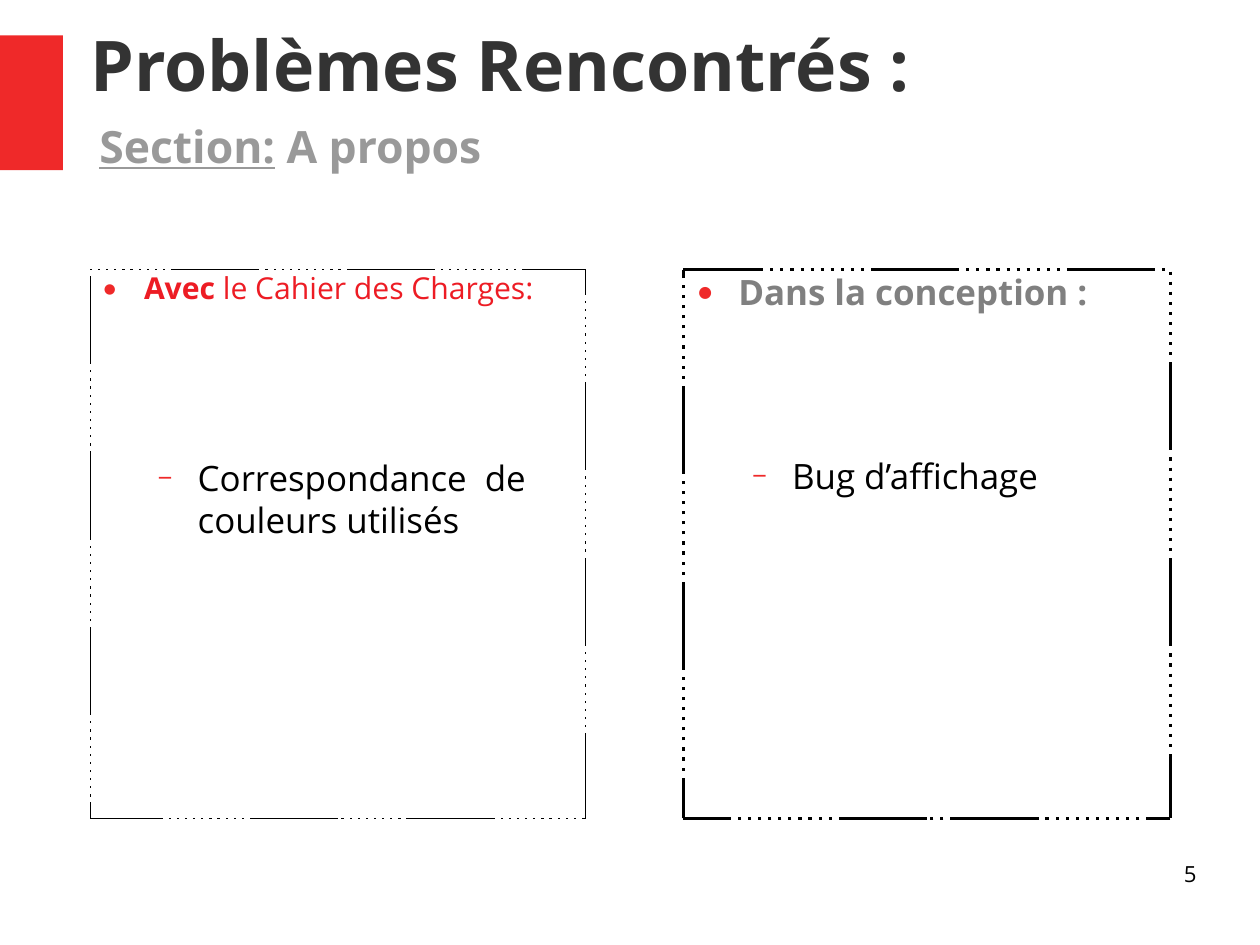
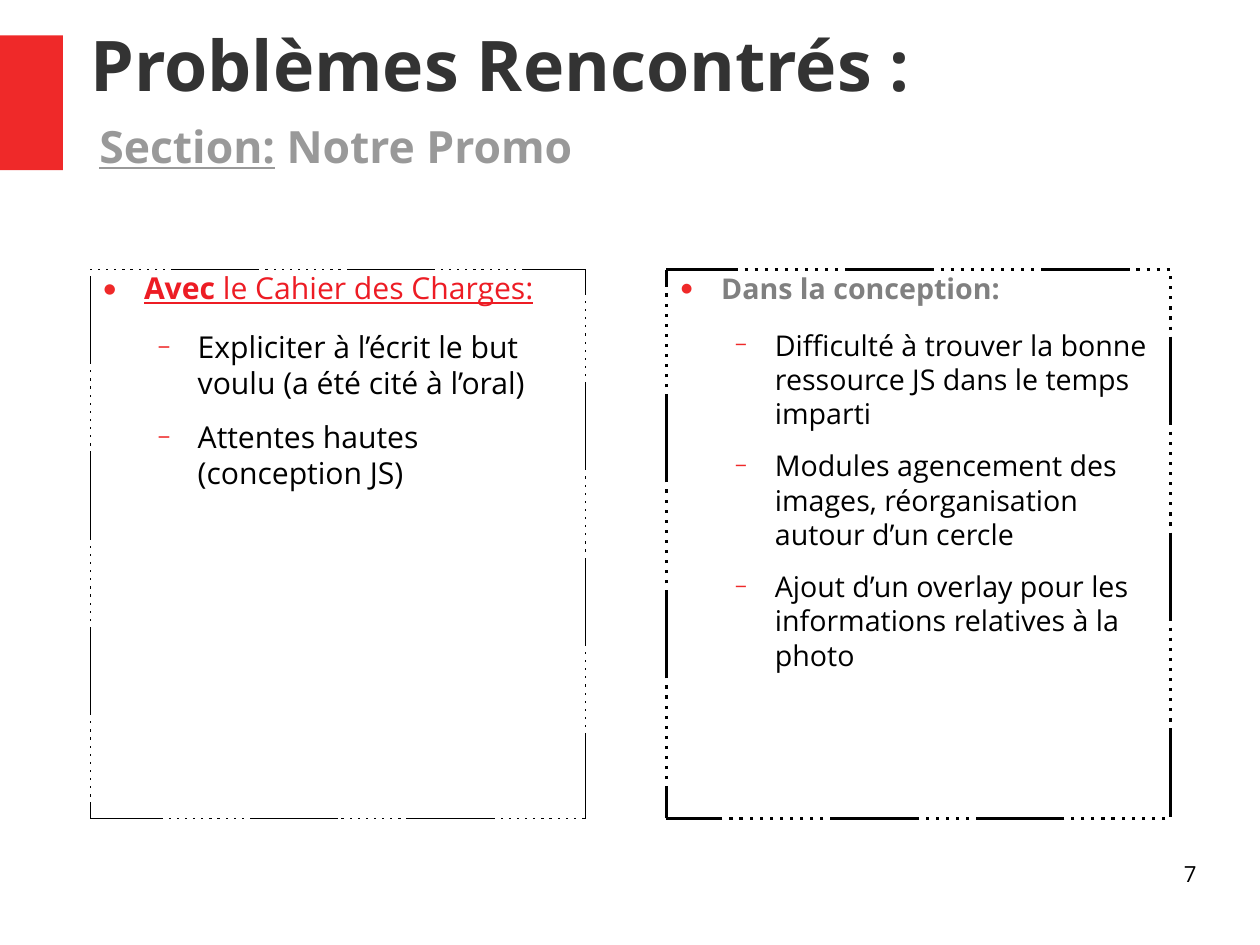
from dataclasses import dataclass

import pptx
import pptx.dml.line
import pptx.enum.shapes
import pptx.enum.text
import pptx.oxml
import pptx.oxml.ns
import pptx.presentation
import pptx.slide
import pptx.text.text
import pptx.util
from pptx.dml.color import RGBColor
from pptx.util import Inches

FONT = "Open Sans"
BAND_RED = RGBColor(0xEF, 0x29, 0x29)
HEADING_RED = RGBColor(0xED, 0x1C, 0x24)
TITLE_GRAY = RGBColor(0x33, 0x33, 0x33)
SECTION_GRAY = RGBColor(0x99, 0x99, 0x99)
HEADING_GRAY = RGBColor(0x80, 0x80, 0x80)
BLACK = RGBColor(0x00, 0x00, 0x00)

ANCHOR = pptx.enum.text.MSO_ANCHOR
ALIGN = pptx.enum.text.PP_ALIGN
CM_PER_INCH = 2.54
PAGE_WIDTH, PAGE_HEIGHT = Inches(28 / CM_PER_INCH), Inches(21 / CM_PER_INCH)
PANEL_TOP, PANEL_HEIGHT, PANEL_RIGHT = 2.36, 4.8, 10.24
DOT_COUNT = 10


@dataclass(frozen=True)
class Border:
    width: float
    dash: int
    gap: int


@dataclass(frozen=True)
class Bullet:
    symbol: str
    percent: int
    indent: float
    level: int
    space_after: float


@dataclass(frozen=True)
class Panel:
    left: float
    width: float
    border: Border
    inset: float
    bold_heading: str
    plain_heading: str
    heading_color: RGBColor
    heading_size: float
    items: tuple[str, ...]
    item_size: float
    underlined: bool = False
    gap_before_items: float = 0


@dataclass(frozen=True)
class Page:
    section: str
    number: str
    panels: tuple[Panel, ...]


HAIRLINE = Border(0, 7200, 570)
THICK = Border(1.98, 2800, 220)
HEADING_BULLET = Bullet("●", 45, 0.47, 0, 14.1)
ITEM_BULLET = Bullet("−", 75, 0.94, 1, 11.3)


def requirements_panel(items: tuple[str, ...], item_size: float, **options) -> Panel:
    return Panel(0.79, 4.33, HAIRLINE, 0, "Avec", " le Cahier des Charges:",
                 HEADING_RED, 19, items, item_size, **options)


def design_panel(left: float, heading: str, items: tuple[str, ...], size: float,
                 **options) -> Panel:
    return Panel(left, PANEL_RIGHT - left, THICK, 0.01, heading, "",
                 HEADING_GRAY, size, items, size, **options)


PAGES = (
    Page("A propos", "5", (
        requirements_panel(("Correspondance  de couleurs utilisés",), 22, gap_before_items=81),
        design_panel(5.98, "Dans la conception :", ("Bug d’affichage",), 22,
                     gap_before_items=75.4),
    )),
    Page("Notre Promo", "7", (
        requirements_panel((
            "Expliciter à l’écrit le but voulu (a été cité à l’oral)",
            "Attentes hautes (conception JS)",
        ), 19, underlined=True),
        design_panel(5.83, "Dans la conception:", (
            "Difficulté à trouver la bonne ressource JS dans le temps imparti",
            "Modules agencement des images, réorganisation autour d’un cercle",
            "Ajout d’un overlay pour les informations relatives à la photo",
        ), 18),
    )),
)


def add_text(paragraph: pptx.text.text._Paragraph, text: str, *, size: float,
             color: RGBColor, bold: bool = False, underline: bool = False) -> None:
    run = paragraph.add_run()
    run.text = text
    run.font.name = FONT
    run.font.size = pptx.util.Pt(size)
    run.font.bold = bold
    run.font.underline = underline
    run.font.color.rgb = color


def prepare_frame(frame: pptx.text.text.TextFrame, *, anchor: ANCHOR = ANCHOR.TOP,
                  align: ALIGN = ALIGN.LEFT,
                  inset: float = 0) -> pptx.text.text._Paragraph:
    frame.word_wrap = True
    frame.auto_size = pptx.enum.text.MSO_AUTO_SIZE.NONE
    frame.vertical_anchor = anchor
    frame.margin_left = frame.margin_right = Inches(inset)
    frame.margin_top = frame.margin_bottom = Inches(inset)
    first = frame.paragraphs[0]
    first.alignment = align
    return first


def set_bullet(paragraph: pptx.text.text._Paragraph, bullet: Bullet) -> None:
    paragraph.level = bullet.level
    paragraph.space_after = pptx.util.Pt(bullet.space_after)
    properties = paragraph._p.get_or_add_pPr()
    properties.set("marL", str(Inches(bullet.indent)))
    properties.set("indent", str(Inches(-0.35)))
    namespace = pptx.oxml.ns.nsdecls("a")
    for markup in (
        f'<a:buClr {namespace}><a:srgbClr val="{BAND_RED}"/></a:buClr>',
        f'<a:buSzPct {namespace} val="{bullet.percent * 1000}"/>',
        f'<a:buFont {namespace} typeface="{FONT}"/>',
        f'<a:buChar {namespace} char="{bullet.symbol}"/>',
    ):
        properties.append(pptx.oxml.parse_xml(markup))


def set_border(line: pptx.dml.line.LineFormat, border: Border) -> None:
    line.color.rgb = BLACK
    line.width = pptx.util.Pt(border.width)
    lengths = [border.dash] + [100] * DOT_COUNT
    stops = "".join(f'<a:ds d="{length * 1000}" sp="{border.gap * 1000}"/>'
                    for length in lengths)
    line._get_or_add_ln().append(pptx.oxml.parse_xml(
        f'<a:custDash {pptx.oxml.ns.nsdecls("a")}>{stops}</a:custDash>'))


def add_panel(slide: pptx.slide.Slide, panel: Panel) -> None:
    box = slide.shapes.add_textbox(Inches(panel.left), Inches(PANEL_TOP),
                                   Inches(panel.width), Inches(PANEL_HEIGHT))
    set_border(box.line, panel.border)
    heading = prepare_frame(box.text_frame, inset=panel.inset)
    set_bullet(heading, HEADING_BULLET)
    for text, bold in ((panel.bold_heading, True), (panel.plain_heading, False)):
        if text:
            add_text(heading, text, size=panel.heading_size, color=panel.heading_color,
                     bold=bold, underline=panel.underlined)
    for index, text in enumerate(panel.items):
        item = box.text_frame.add_paragraph()
        set_bullet(item, ITEM_BULLET)
        if index == 0:
            item.space_before = pptx.util.Pt(panel.gap_before_items)
        add_text(item, text, size=panel.item_size, color=BLACK)


def add_page(deck: pptx.presentation.Presentation, page: Page) -> None:
    slide = deck.slides.add_slide(deck.slide_layouts[5])
    band = slide.shapes.add_shape(pptx.enum.shapes.MSO_SHAPE.RECTANGLE, Inches(0),
                                  Inches(0.31), Inches(0.55), Inches(1.18))
    band.shadow.inherit = False
    band.fill.solid()
    band.fill.fore_color.rgb = BAND_RED
    band.line.fill.background()

    title = slide.shapes.title
    title.left, title.top = Inches(0.79), Inches(0.14)
    title.width, title.height = Inches(9.68), Inches(0.83)
    add_text(prepare_frame(title.text_frame, anchor=ANCHOR.MIDDLE),
             "Problèmes Rencontrés :", size=44, color=TITLE_GRAY, bold=True)

    section = slide.shapes.add_textbox(Inches(0.87), Inches(0.98), Inches(4.88), Inches(0.59))
    section_line = prepare_frame(section.text_frame, anchor=ANCHOR.MIDDLE)
    for text, underline in (("Section:", True), (f" {page.section}", False)):
        add_text(section_line, text, size=28, color=SECTION_GRAY, bold=True,
                 underline=underline)

    for panel in page.panels:
        add_panel(slide, panel)

    number = slide.shapes.add_textbox(Inches(7.9), Inches(7.53), Inches(2.57), Inches(0.57))
    add_text(prepare_frame(number.text_frame, align=ALIGN.RIGHT), page.number,
             size=14, color=BLACK)


def main() -> None:
    deck = pptx.Presentation()
    deck.slide_width, deck.slide_height = PAGE_WIDTH, PAGE_HEIGHT
    for page in PAGES:
        add_page(deck, page)
    deck.save("out.pptx")


if __name__ == "__main__":
    main()
